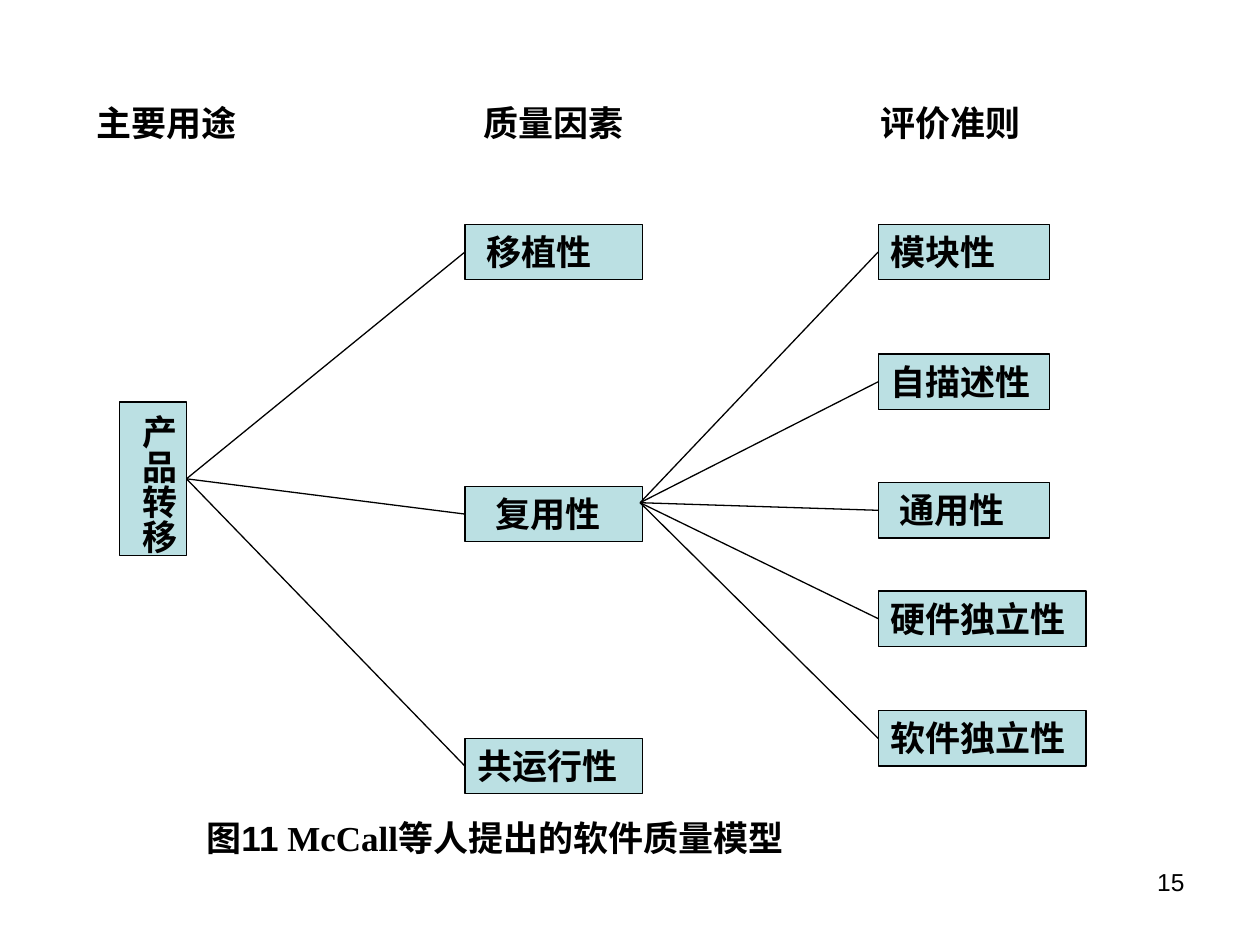
from lxml.etree import SubElement
from pptx import Presentation
from pptx.dml.color import RGBColor
from pptx.enum.shapes import MSO_CONNECTOR as Connector, MSO_SHAPE as Shape
from pptx.enum.text import MSO_AUTO_SIZE as AutoSize, MSO_ANCHOR as Anchor, PP_ALIGN as Align
from pptx.oxml.ns import qn
from pptx.util import Inches, Pt

BLACK = RGBColor(0x00, 0x00, 0x00)
PALE_TEAL = RGBColor(0xBB, 0xE0, 0xE3)
SERIF, SANS = "Times New Roman", "Arial"

SLIDE_WIDTH, SLIDE_HEIGHT = Inches(10), Inches(7.5)
COLUMNS, ROWS = 100, 75
LABEL_ROWS = 4.4
SPACE = 0.7
LEFT, RIGHT = 1, 3

HEADINGS = [("主要用途", 6.7, 15.8), ("质量因素", 37.4, 15.9), ("评价准则", 68.9, 16.9)]
FACTORS = [("移植性", 17.8, SPACE), ("复用性", 38.6, 2 * SPACE), ("共运行性", 58.6, 0)]
CRITERIA = [
    ("模块性", 17.8, 13.6, 0),
    ("自描述性", 28.1, 13.6, 0),
    ("通用性", 38.3, 13.6, SPACE),
    ("硬件独立性", 46.9, 16.5, 0),
    ("软件独立性", 56.4, 16.5, 0),
]


def across(columns):
    return round(SLIDE_WIDTH * columns / COLUMNS)


def down(rows):
    return round(SLIDE_HEIGHT * rows / ROWS)


def place(left, top, width, height):
    return across(left), down(top), across(width), down(height)


def write(shape, *pieces, font=SERIF, size=20, bold=True, align=Align.LEFT,
          indent=0, wrap=True, grow=True, vertical=False):
    frame = shape.text_frame
    frame.word_wrap = wrap
    frame.auto_size = AutoSize.SHAPE_TO_FIT_TEXT if grow else AutoSize.NONE
    frame.vertical_anchor = Anchor.TOP
    wide, narrow = Inches(0.1), Inches(0.05)
    side, end = (narrow, wide) if vertical else (wide, narrow)
    frame.margin_left, frame.margin_right = side + across(indent), side
    frame.margin_top = frame.margin_bottom = end
    if vertical:
        shape.element.find(qn("p:txBody")).find(qn("a:bodyPr")).set("vert", "eaVert")
    para = frame.paragraphs[0]
    para.alignment = align
    for piece in pieces:
        text, face = piece if isinstance(piece, tuple) else (piece, font)
        span = para.add_run()
        span.text = text
        span.font.name = face
        span.font.size = Pt(size)
        span.font.bold = bold
        span.font.color.rgb = BLACK


def add_label(page, area, *pieces, **style):
    write(page.shapes.add_textbox(*place(*area)), *pieces, **style)


def add_node(page, area, text, **style):
    box = page.shapes.add_shape(Shape.RECTANGLE, *place(*area))
    box.shadow.inherit = False
    box.fill.solid()
    box.fill.fore_color.rgb = PALE_TEAL
    box.line.color.rgb = BLACK
    box.line.width = Pt(0.75)
    write(box, text, **style)
    return box


def add_branch(page, target, source=None, start=(0, 0)):
    line = page.shapes.add_connector(
        Connector.STRAIGHT, across(start[0]), down(start[1]),
        target.left, target.top + target.height // 2)
    if source is not None:
        line.begin_connect(source, RIGHT)
    line.end_connect(target, LEFT)
    line.line.color.rgb = BLACK
    line.line.width = Pt(0.75)
    SubElement(line.element.find(qn("p:spPr")), qn("a:effectLst"))


def main():
    deck = Presentation()
    deck.slide_width, deck.slide_height = SLIDE_WIDTH, SLIDE_HEIGHT
    page = deck.slides.add_slide(deck.slide_layouts[6])

    add_label(page, (15.4, 64.3, 49.3, LABEL_ROWS), "图", ("11", SANS),
              " McCall等人提出的软件质量模型", wrap=False)
    for text, left, width in HEADINGS:
        add_label(page, (left, 7.6, width, LABEL_ROWS), text)

    usage = add_node(page, (9.5, 31.9, 5.3, 12.2), "产品转移", wrap=False, vertical=True)
    for text, top, indent in FACTORS:
        factor = add_node(page, (36.9, top, 14.1, LABEL_ROWS), text, indent=indent)
        add_branch(page, factor, source=usage)
    for text, top, width, indent in CRITERIA:
        criterion = add_node(page, (69.7, top, width, LABEL_ROWS), text, indent=indent)
        add_branch(page, criterion, start=(50.8, 39.9))

    add_label(page, (71.7, 68.3, 23.3, 5.2), "15", font=SANS, size=14, bold=False,
              align=Align.RIGHT, grow=False)
    deck.save("out.pptx")


if __name__ == "__main__":
    main()
